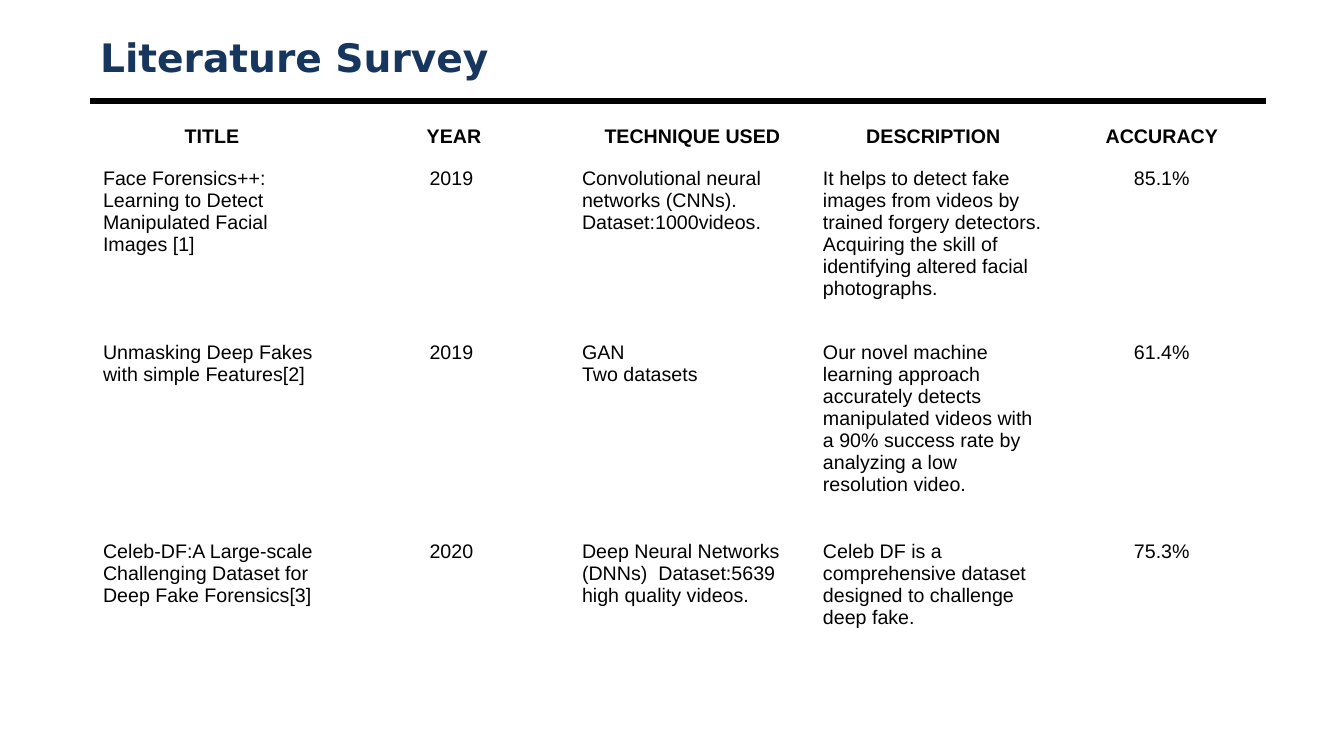
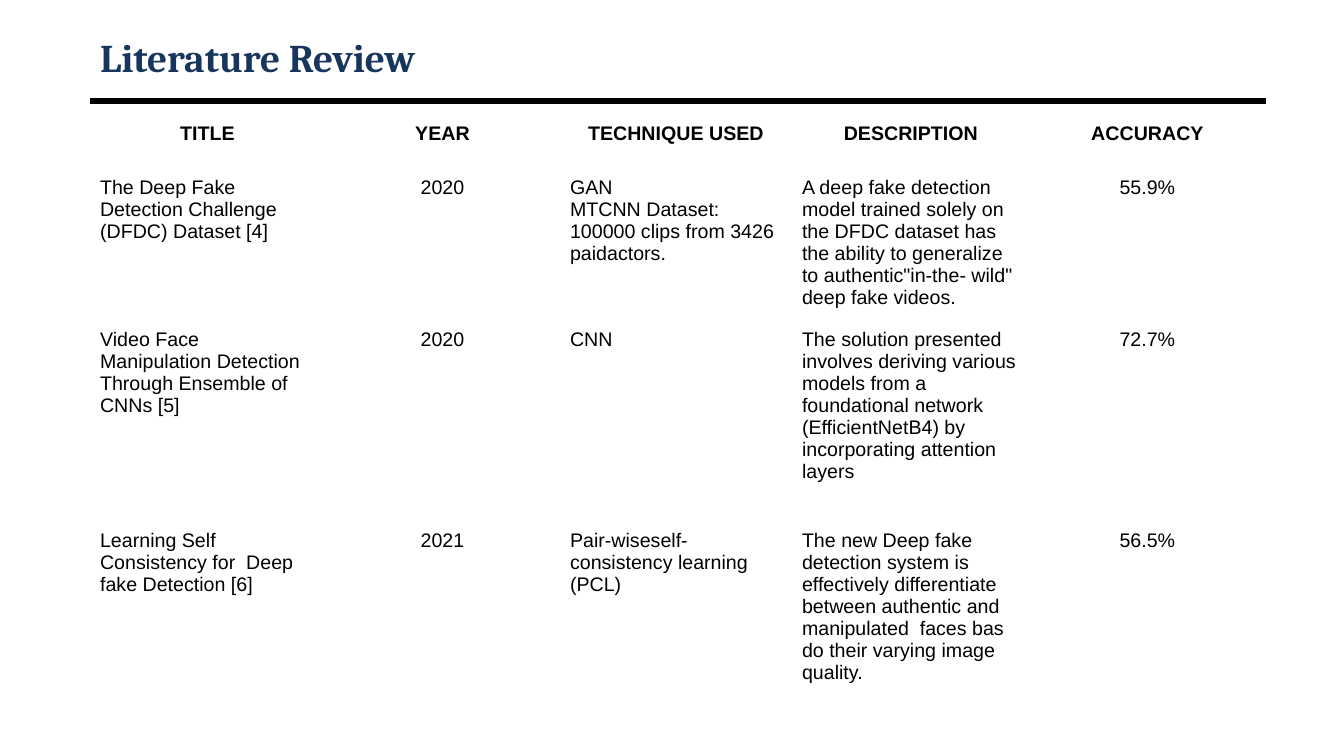
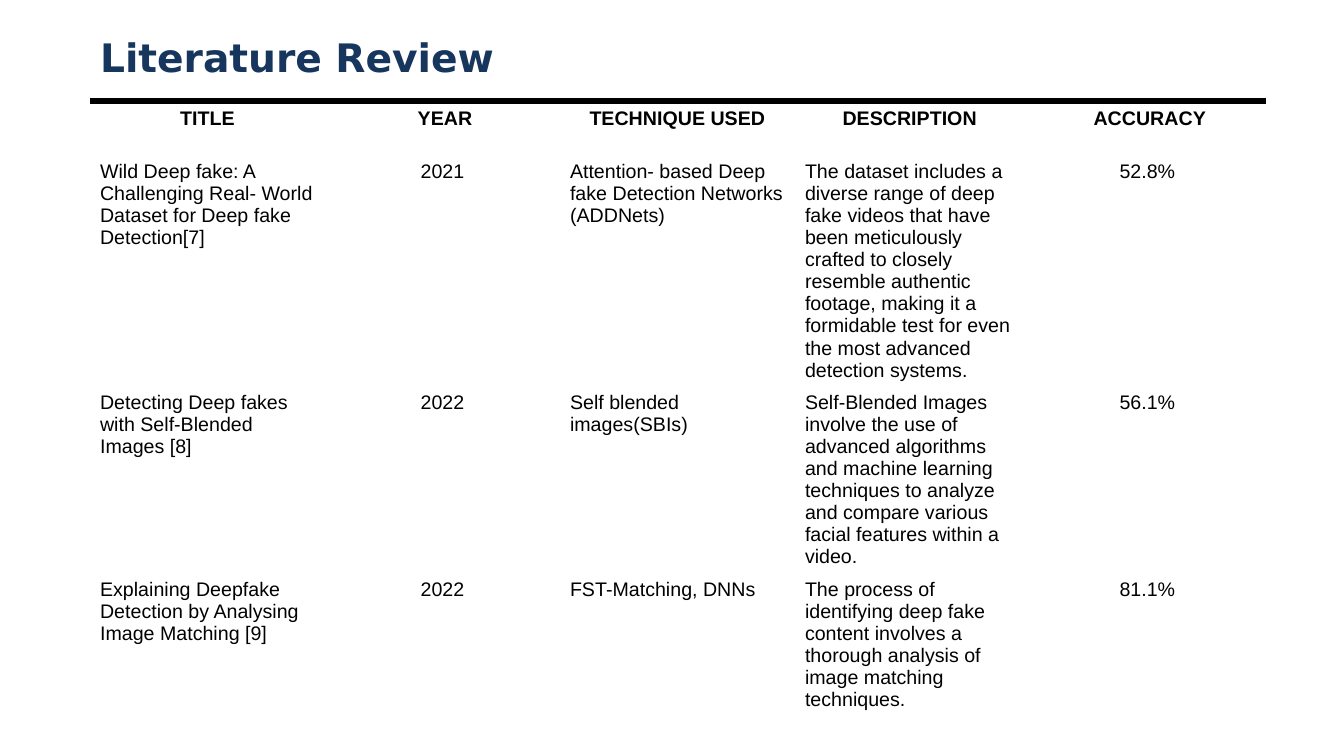
from dataclasses import dataclass

from pptx import Presentation
from pptx.dml.color import RGBColor
from pptx.enum import shapes, text
from pptx.oxml import ns, xmlchemy
from pptx.slide import Slide, SlideLayout
from pptx.util import Emu, Pt

EMU_PER_PX = 914400 / 100.8
NAVY = RGBColor(0x17, 0x36, 0x5D)
BLACK = RGBColor(0x00, 0x00, 0x00)
TABLE_FONT = "Arial"
NO_STYLE_NO_GRID = "{2D5ABB26-0587-4C30-8999-92F81FD0307C}"
TITLE_ONLY = 5
MARGIN, CONTENT_WIDTH = 90, 1176
TITLE_TOP, TITLE_HEIGHT, RULE_Y = 30, 53, 101
CENTRED_COLUMNS = (1, 4)


@dataclass(frozen=True)
class Survey:
    """One slide: a title over a table whose first row is the header."""
    title: str
    title_font: str
    left: int
    top: int
    columns: tuple[int, ...]
    rows: tuple[int, ...]
    cells: tuple[tuple[str, ...], ...]
    header_spacing: float = 1.0


SURVEYS = (
    Survey(
        "Literature Survey", "DejaVu Sans", 93, 110,
        (238, 241, 241, 241, 216), (53, 174, 199, 126),
        (
            ("TITLE", " YEAR", "TECHNIQUE USED", "DESCRIPTION", "ACCURACY"),
            ("Face Forensics++: Learning to Detect Manipulated Facial Images [1]",
             "2019",
             "Convolutional neural networks (CNNs).\nDataset:1000videos.",
             "It helps to detect fake images from videos by trained forgery detectors.\n"
             "Acquiring the skill of identifying altered facial photographs.",
             "85.1%"),
            ("Unmasking Deep Fakes with simple Features[2]",
             "2019",
             "GAN\nTwo datasets",
             "Our novel machine learning approach accurately detects manipulated videos "
             "with a 90% success rate by analyzing a low resolution video.",
             "61.4%"),
            ("Celeb-DF:A Large-scale Challenging Dataset for Deep Fake Forensics[3]",
             "2020",
             "Deep Neural Networks (DNNs)  Dataset:5639 high quality videos.",
             "Celeb DF is a comprehensive dataset designed to challenge  deep fake.",
             "75.3%"),
        ),
        header_spacing=1.5,
    ),
    Survey(
        "Literature Review", "Cambria", MARGIN, 118,
        (235, 235, 232, 238, 235), (54, 152, 201, 176),
        (
            ("TITLE", "YEAR", "TECHNIQUE USED", "DESCRIPTION", "ACCURACY"),
            ("The Deep Fake Detection Challenge (DFDC) Dataset [4]",
             "2020",
             "GAN\nMTCNN Dataset: 100000 clips from 3426 paidactors.",
             "A deep fake detection model trained solely on the DFDC dataset has the "
             "ability to generalize to authentic\"in-the- wild\" deep fake videos.",
             "55.9%"),
            ("Video Face Manipulation Detection Through Ensemble of CNNs [5]",
             "2020",
             "CNN",
             "The solution presented involves deriving various models from a "
             "foundational network (EfficientNetB4) by incorporating attention layers",
             "72.7%"),
            ("Learning Self Consistency for  Deep fake Detection [6]",
             "2021",
             "Pair-wiseself-consistency learning (PCL)",
             "The new Deep fake detection system is effectively differentiate between "
             "authentic and manipulated  faces bas do their varying image quality.",
             "56.5%"),
        ),
    ),
    Survey(
        "Literature Review", "DejaVu Sans", MARGIN, 103,
        (235,) * 5, (53, 230, 187, 142),
        (
            ("TITLE", " YEAR", "TECHNIQUE USED", "DESCRIPTION ", " ACCURACY"),
            ("Wild Deep fake: A Challenging Real- World Dataset for Deep fake Detection[7]",
             "2021",
             "Attention- based Deep fake Detection Networks (ADDNets)",
             "The dataset includes a diverse range of deep fake videos that have been "
             "meticulously crafted to closely resemble authentic footage, making it a "
             "formidable test for even the most advanced detection systems.",
             "52.8%"),
            ("Detecting Deep fakes with Self-Blended Images [8]",
             "2022",
             "Self blended images(SBIs)",
             "Self-Blended Images involve the use of advanced algorithms and machine "
             "learning techniques to analyze and compare various facial features within "
             "a video.",
             "56.1%"),
            ("Explaining Deepfake Detection by Analysing Image Matching [9]",
             "2022",
             "FST-Matching, DNNs",
             "The process of identifying deep fake content involves a thorough analysis "
             "of image matching techniques.",
             "81.1%"),
        ),
    ),
)


def px(length: int) -> Emu:
    return Emu(round(length * EMU_PER_PX))


def style_font(paragraph, name: str, size: int, color: RGBColor, bold: bool) -> None:
    font = paragraph.font
    font.name, font.size, font.bold = name, Pt(size), bold
    font.color.rgb = color


def add_title(slide: Slide, survey: Survey) -> None:
    title = slide.shapes.title
    title.left, title.top = px(MARGIN), px(TITLE_TOP)
    title.width, title.height = px(CONTENT_WIDTH), px(TITLE_HEIGHT)
    frame = title.text_frame
    frame.text = survey.title
    frame.auto_size = text.MSO_AUTO_SIZE.NONE
    frame.vertical_anchor = text.MSO_ANCHOR.MIDDLE
    paragraph = frame.paragraphs[0]
    paragraph.alignment = text.PP_ALIGN.LEFT
    style_font(paragraph, survey.title_font, 28, NAVY, True)


def add_rule(slide: Slide, layout: SlideLayout) -> None:
    """Draw the title rule and move it to the layout, so every slide shows it."""
    rule = slide.shapes.add_connector(
        shapes.MSO_CONNECTOR.STRAIGHT,
        px(MARGIN), px(RULE_Y), px(MARGIN + CONTENT_WIDTH), px(RULE_Y))
    rule.line.color.rgb = BLACK
    rule.line.width = Pt(4.5)
    rule.element.spPr.append(xmlchemy.OxmlElement("a:effectLst"))
    layout.shapes.element.append(rule.element)


def add_survey_table(slide: Slide, survey: Survey) -> None:
    frame = slide.shapes.add_table(
        len(survey.rows), len(survey.columns), px(survey.left), px(survey.top),
        px(sum(survey.columns)), px(sum(survey.rows)))
    frame.element.find(".//" + ns.qn("a:tableStyleId")).text = NO_STYLE_NO_GRID
    table = frame.table
    table.first_row = table.horz_banding = False
    for column, width in zip(table.columns, survey.columns):
        column.width = px(width)
    for row, height in zip(table.rows, survey.rows):
        row.height = px(height)

    for row_index, texts in enumerate(survey.cells):
        is_header = row_index == 0
        for column_index, content in enumerate(texts):
            cell = table.cell(row_index, column_index)
            cell.fill.background()
            cell.text_frame.text = content
            centred = is_header or column_index in CENTRED_COLUMNS
            for paragraph in cell.text_frame.paragraphs:
                paragraph.alignment = (
                    text.PP_ALIGN.CENTER if centred else text.PP_ALIGN.LEFT)
                if is_header:
                    paragraph.line_spacing = survey.header_spacing
                style_font(paragraph, TABLE_FONT, 14, BLACK, is_header)


def main() -> None:
    presentation = Presentation()
    presentation.slide_width, presentation.slide_height = px(1344), px(756)
    layout = presentation.slide_layouts[TITLE_ONLY]
    for index, survey in enumerate(SURVEYS):
        slide = presentation.slides.add_slide(layout)
        if index == 0:
            add_rule(slide, layout)
        add_title(slide, survey)
        add_survey_table(slide, survey)
    presentation.save("out.pptx")


if __name__ == "__main__":
    main()
